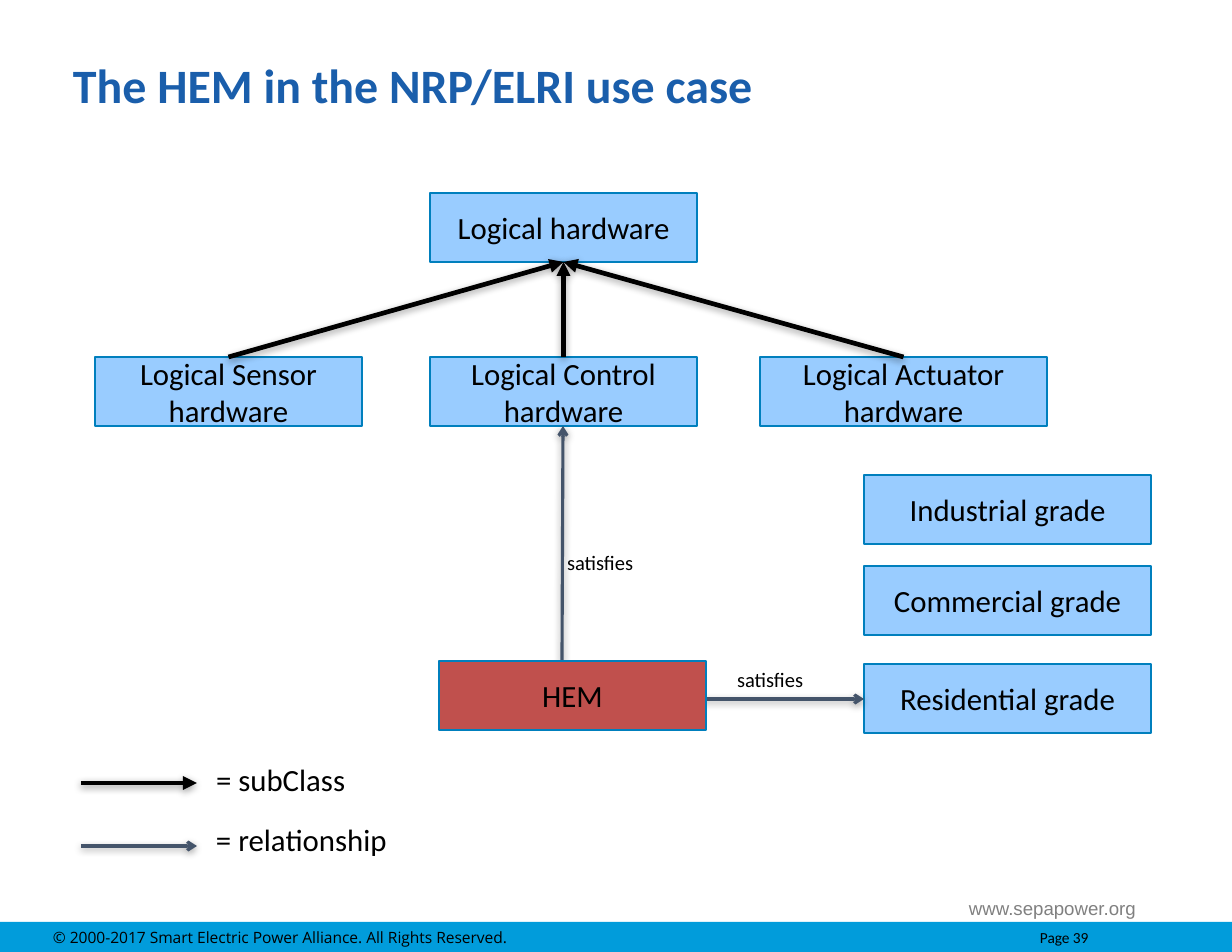
from lxml import etree
from pptx import Presentation
from pptx.dml.color import RGBColor
from pptx.enum.shapes import MSO_CONNECTOR, MSO_SHAPE
from pptx.enum.text import MSO_ANCHOR, PP_ALIGN
from pptx.oxml import parse_xml
from pptx.oxml.ns import nsdecls, qn
from pptx.util import Pt

SCALE = 914400 / 112
COLORS = {
    "title": "1A5EAB", "box": "99CCFF", "edge": "007FBD", "hem": "C0504D",
    "text": "000000", "link": "44546A", "site": "808080", "bar": "019CDB",
}
SHADOW = (
    f'<a:effectLst {nsdecls("a")}>'
    '<a:outerShdw blurRad="63500" dist="20320" dir="5400000" rotWithShape="0">'
    '<a:srgbClr val="000000"><a:alpha val="38000"/></a:srgbClr>'
    '</a:outerShdw></a:effectLst>'
)
BOX_H = 69


def px(num):
    return round(num * SCALE)


def rgb(name):
    return RGBColor.from_string(COLORS[name])


def style(run, size, color="text", face="Calibri", bold=False):
    font = run.font
    font.size = Pt(size)
    font.name = face
    font.bold = bold
    font.color.rgb = rgb(color)


def add_rect(slide, left, top, width, height, fill):
    rect = slide.shapes.add_shape(
        MSO_SHAPE.RECTANGLE, px(left), px(top), px(width), px(height))
    rect.shadow.inherit = False
    rect.fill.solid()
    rect.fill.fore_color.rgb = rgb(fill)
    rect.text_frame.vertical_anchor = MSO_ANCHOR.MIDDLE
    return rect


def add_box(slide, text, left, top, width, fill="box"):
    box = add_rect(slide, left, top, width, BOX_H, fill)
    box.line.color.rgb = rgb("edge")
    box.line.width = Pt(1)
    para = box.text_frame.paragraphs[0]
    para.text = text
    para.alignment = PP_ALIGN.CENTER
    style(para.runs[0], 19.8)
    return box


def add_label(slide, text, left, top, width, height, size, wrap=False,
              anchor=MSO_ANCHOR.TOP, align=PP_ALIGN.LEFT, **look):
    label = slide.shapes.add_textbox(px(left), px(top), px(width), px(height))
    frame = label.text_frame
    frame.word_wrap = wrap
    frame.vertical_anchor = anchor
    para = frame.paragraphs[0]
    para.text = text
    para.alignment = align
    style(para.runs[0], size, **look)


def add_arrow(slide, start, end, color, width, head):
    arrow = slide.shapes.add_connector(
        MSO_CONNECTOR.STRAIGHT, *map(px, start + end))
    arrow.line.color.rgb = rgb(color)
    arrow.line.width = Pt(width)
    etree.SubElement(arrow.line._get_or_add_ln(), qn("a:tailEnd"), type=head)
    arrow._element.spPr.append(parse_xml(SHADOW))
    return arrow


def add_subclass(slide, start, end):
    return add_arrow(slide, start, end, "text", 3, "triangle")


def add_relation(slide, start, end):
    return add_arrow(slide, start, end, "link", 2, "arrow")


def add_footer(slide):
    add_label(slide, "www.sepapower.org", 85, 883, 1062, 50, 12, wrap=True,
              anchor=MSO_ANCHOR.MIDDLE, align=PP_ALIGN.RIGHT,
              color="site", face="Arial")
    bar = add_rect(slide, 0, 922, 1232, 30, "bar")
    bar.line.fill.background()
    inset, page = 53, 1040
    bar.text_frame.margin_left = px(inset)
    para = bar.text_frame.paragraphs[0]
    para.alignment = PP_ALIGN.LEFT
    tabs = etree.SubElement(para._p.get_or_add_pPr(), qn("a:tabLst"))
    etree.SubElement(tabs, qn("a:tab"), pos=str(px(page - inset)), algn="l")
    for text, size, face in (
        ("© 2000-2017 Smart Electric Power Alliance. All Rights Reserved.",
         10, "Open Sans"),
        ("\tPage 39", 9.9, "Calibri"),
    ):
        run = para.add_run()
        run.text = text
        style(run, size, face=face)


def main():
    deck = Presentation()
    deck.slide_width, deck.slide_height = px(1232), px(952)
    slide = deck.slides.add_slide(deck.slide_layouts[6])

    add_label(slide, "The HEM in the NRP/ELRI use case", 62, 39, 876, 90, 30.8,
              wrap=True, anchor=MSO_ANCHOR.MIDDLE, color="title", bold=True)

    parent = add_box(slide, "Logical hardware", 430, 193, 267)
    for kind, left, width in (
        ("Sensor", 95, 267), ("Control", 430, 267), ("Actuator", 760, 287),
    ):
        child = add_box(slide, f"Logical {kind} hardware", left, 357, width)
        link = add_subclass(slide, (left, 357), (563, 262))
        link.begin_connect(child, 0)
        link.end_connect(parent, 2)

    for grade, top in (
        ("Industrial", 475), ("Commercial", 566), ("Residential", 664),
    ):
        add_box(slide, f"{grade} grade", 864, top, 287)

    add_relation(slide, (562, 661), (563, 426))
    add_relation(slide, (695, 699), (864, 699))
    for left, top in ((556, 544), (726, 661)):
        add_label(slide, "satisfies", left, top, 90, 36, 13.2)
    add_box(slide, "HEM", 439, 661, 267, "hem")

    for add, text, mid, top, width in (
        (add_subclass, "= subClass", 783, 755, 152),
        (add_relation, "= relationship", 846, 815, 195),
    ):
        add(slide, (81, mid), (197, mid))
        add_label(slide, text, 205, top, width, 48, 19.8)

    add_footer(slide)
    deck.save("out.pptx")


if __name__ == "__main__":
    main()
